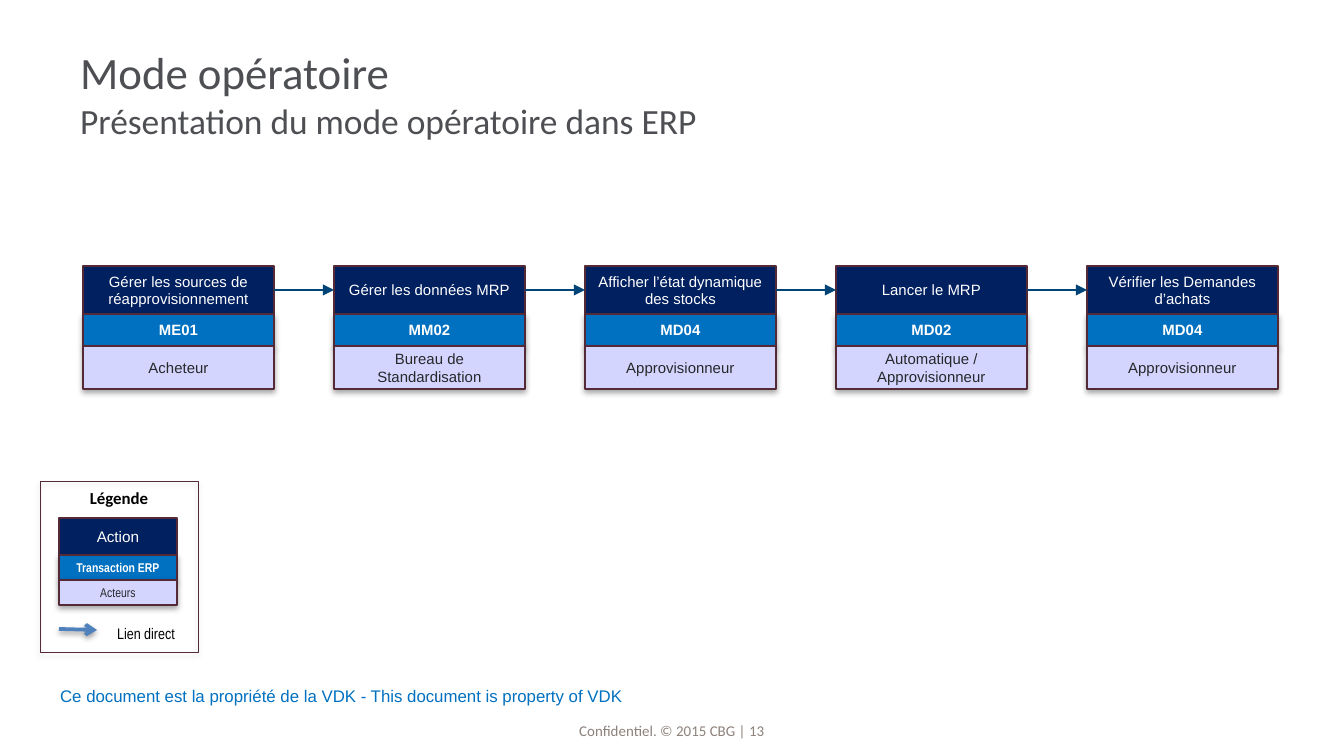
"""Build the slide that shows the replenishment procedure as a chain of steps."""
from dataclasses import dataclass

from lxml.etree import SubElement
from pptx import Presentation
from pptx.dml.color import RGBColor
from pptx.enum.shapes import MSO_CONNECTOR, MSO_SHAPE
from pptx.enum.text import MSO_ANCHOR, PP_ALIGN
from pptx.oxml.ns import qn
from pptx.util import Pt

EMU_PER_PX = 914400 / 134.4


@dataclass(frozen=True)
class Theme:
    """Colours, fonts and type sizes of the slide."""
    title: str = "4D4F53"
    footer: str = "8D817B"
    action: str = "002060"
    transaction: str = "0070C0"
    actor: str = "D3D5FF"
    border: str = "552A37"
    link: str = "004376"
    legend_link: str = "4F81BD"
    white: str = "FFFFFF"
    dark: str = "26282A"
    black: str = "000000"
    sans: str = "Arial"
    narrow: str = "Arial Narrow"
    heading: str = "Calibri"
    title_size: float = 24
    subtitle_size: float = 19
    notice_size: float = 9
    body_size: float = 8
    legend_size: float = 8.2
    legend_small: float = 6.8


THEME = Theme()
STEPS = [
    ("Gérer les sources de réapprovisionnement", "ME01", "Acheteur"),
    ("Gérer les données MRP", "MM02", "Bureau de Standardisation"),
    ("Afficher l’état dynamique des stocks", "MD04", "Approvisionneur"),
    ("Lancer le MRP", "MD02", "Automatique / Approvisionneur"),
    ("Vérifier les Demandes d’achats", "MD04", "Approvisionneur"),
]
STEP_LEFT, STEP_TOP, STEP_WIDTH, STEP_PITCH = 83, 266, 191, 251
STEP_HEIGHTS = (48, 32, 43)
LEGEND_HEIGHTS = (37, 25, 25)


def px(*lengths):
    """Turn pixel lengths into a list of EMU."""
    return [round(length * EMU_PER_PX) for length in lengths]


def apply_format(target, **values):
    """Set every given value as an attribute of the target."""
    for name, value in values.items():
        setattr(target, name, value)


def font_format(name, size, color, bold=False):
    """Return the values that describe a font."""
    return {"name": name, "size": size, "color": color, "bold": bold}


def style_font(font, name, size, color, bold):
    """Give a font its name, size, weight and colour."""
    apply_format(font, name=name, size=Pt(size), bold=bold)
    font.color.rgb = RGBColor.from_string(color)


def write_lines(shape, lines, alignment=PP_ALIGN.CENTER, **frame):
    """Write (text, font values) lines in one paragraph."""
    apply_format(shape.text_frame, **{"word_wrap": True,
                                      "vertical_anchor": MSO_ANCHOR.MIDDLE, **frame})
    paragraph = shape.text_frame.paragraphs[0]
    paragraph.alignment = alignment
    for index, (text, font) in enumerate(lines):
        if index:
            paragraph.add_line_break()
        run = paragraph.add_run()
        run.text = text
        style_font(run.font, **font)


def add_text(shapes, box, lines, **layout):
    """Add a text box."""
    text_box = shapes.add_textbox(*px(*box))
    write_lines(text_box, lines, **layout)
    return text_box


def add_shadow(effects, alpha, distance):
    """Put a soft downward shadow in an effect list."""
    shadow = SubElement(effects, qn("a:outerShdw"), blurRad=str(Pt(3.1)),
                        dist=str(Pt(distance)), dir="5400000", rotWithShape="0")
    color = SubElement(shadow, qn("a:srgbClr"), val=THEME.black)
    SubElement(color, qn("a:alpha"), val=str(alpha * 1000))


def add_box(shapes, box, fill=None, line_width=0.75, shadow=True):
    """Add a bordered rectangle, filled when a colour is given."""
    shape = shapes.add_shape(MSO_SHAPE.RECTANGLE, *px(*box))
    if fill:
        shape.fill.solid()
        shape.fill.fore_color.rgb = RGBColor.from_string(fill)
    else:
        shape.fill.background()
    shape.line.color.rgb = RGBColor.from_string(THEME.border)
    shape.line.width = Pt(line_width)
    shape.shadow.inherit = False
    if shadow:
        add_shadow(shape._element.spPr.find(qn("a:effectLst")), 35, 1.8)
    return shape


def add_arrow(shapes, ends, color, width, head, shadow=False):
    """Add a straight connector with an arrowhead at its end."""
    arrow = shapes.add_connector(MSO_CONNECTOR.STRAIGHT, *px(*ends))
    arrow.line.color.rgb = RGBColor.from_string(color)
    arrow.line.width = Pt(width)
    SubElement(arrow.line._get_or_add_ln(), qn("a:tailEnd"), type=head)
    effects = SubElement(arrow._element.spPr, qn("a:effectLst"))
    if shadow:
        add_shadow(effects, 38, 1.6)
    return arrow


def add_card(shapes, left, top, width, heights, texts, fonts):
    """Stack action, transaction and actor boxes and return the action box."""
    boxes = []
    fills = (THEME.action, THEME.transaction, THEME.actor)
    for height, text, fill, font in zip(heights, texts, fills, fonts):
        box = add_box(shapes, (left, top, width, height), fill, shadow=bool(boxes))
        write_lines(box, [(text, font)])
        boxes.append(box)
        top += height
    return boxes[0]


def add_process(slide):
    """Add the step cards and the arrows that link them."""
    fonts = (font_format(THEME.sans, THEME.body_size, THEME.white),
             font_format(THEME.sans, THEME.body_size, THEME.white, True),
             font_format(THEME.sans, THEME.body_size, THEME.dark))
    actions = [
        add_card(slide.shapes.add_group_shape().shapes, STEP_LEFT + index * STEP_PITCH,
                 STEP_TOP, STEP_WIDTH, STEP_HEIGHTS, texts, fonts)
        for index, texts in enumerate(STEPS)
    ]
    middle = STEP_TOP + STEP_HEIGHTS[0] // 2
    for index, (source, target) in enumerate(zip(actions, actions[1:])):
        left = STEP_LEFT + index * STEP_PITCH
        arrow = add_arrow(slide.shapes, (left + STEP_WIDTH, middle, left + STEP_PITCH, middle),
                          THEME.link, 1, "triangle")
        arrow.begin_connect(source, 3)
        arrow.end_connect(target, 1)


def add_legend(slide):
    """Add the framed legend."""
    shapes = slide.shapes.add_group_shape().shapes
    fonts = (font_format(THEME.sans, THEME.legend_size, THEME.white),
             font_format(THEME.narrow, THEME.legend_small, THEME.white, True),
             font_format(THEME.narrow, THEME.legend_small, THEME.dark))
    add_card(shapes, 59, 518, 118, LEGEND_HEIGHTS,
             ("Action", "Transaction ERP", "Acteurs"), fonts)
    add_arrow(shapes, (59, 629, 97, 630), THEME.legend_link, 2, "arrow", shadow=True)
    link_font = font_format(THEME.narrow, THEME.legend_size, THEME.black)
    add_text(shapes, (103, 617, 86, 32), [("Lien direct", link_font)], word_wrap=False)
    add_box(shapes, (40, 481, 158, 171), line_width=0.25)
    heading_font = font_format(THEME.heading, THEME.notice_size, THEME.black, True)
    add_text(shapes, (40, 481, 158, 34), [("Légende", heading_font)])


def add_title(slide):
    """Add the title and its subtitle."""
    lines = [("Mode opératoire", THEME.title_size),
             ("Présentation du mode opératoire dans ERP", THEME.subtitle_size)]
    add_text(slide.shapes, (67, 30, 1210, 126),
             [(text, font_format(THEME.heading, size, THEME.title)) for text, size in lines],
             alignment=PP_ALIGN.LEFT)


def add_footer(slide):
    """Add the property notice and the page line."""
    notice_font = font_format(THEME.sans, THEME.notice_size, THEME.transaction)
    add_text(slide.shapes, (42, 680, 598, 32),
             [("Ce document est la propriété de la VDK - This document is property of VDK",
               notice_font)], word_wrap=False)
    page_font = font_format(THEME.heading, THEME.body_size, THEME.footer)
    add_text(slide.shapes, (457, 716, 430, 23),
             [("Confidentiel. © 2015 CBG | 13", page_font)],
             vertical_anchor=MSO_ANCHOR.BOTTOM, margin_left=0, margin_right=0,
             margin_top=0, margin_bottom=0)


def main():
    """Build and save the presentation."""
    presentation = Presentation()
    presentation.slide_width, presentation.slide_height = px(1344, 756)
    slide = presentation.slides.add_slide(presentation.slide_layouts[6])
    add_footer(slide)
    add_title(slide)
    add_legend(slide)
    add_process(slide)
    presentation.save("out.pptx")


if __name__ == "__main__":
    main()
